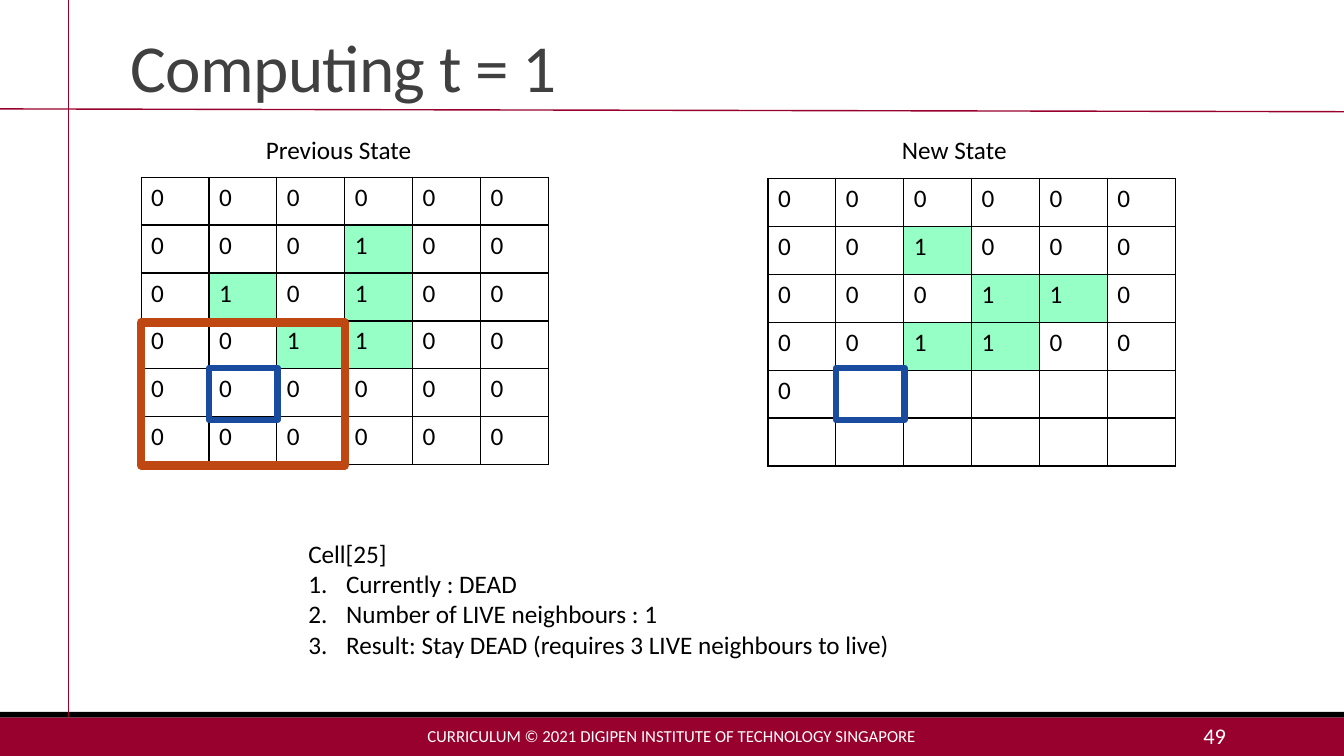
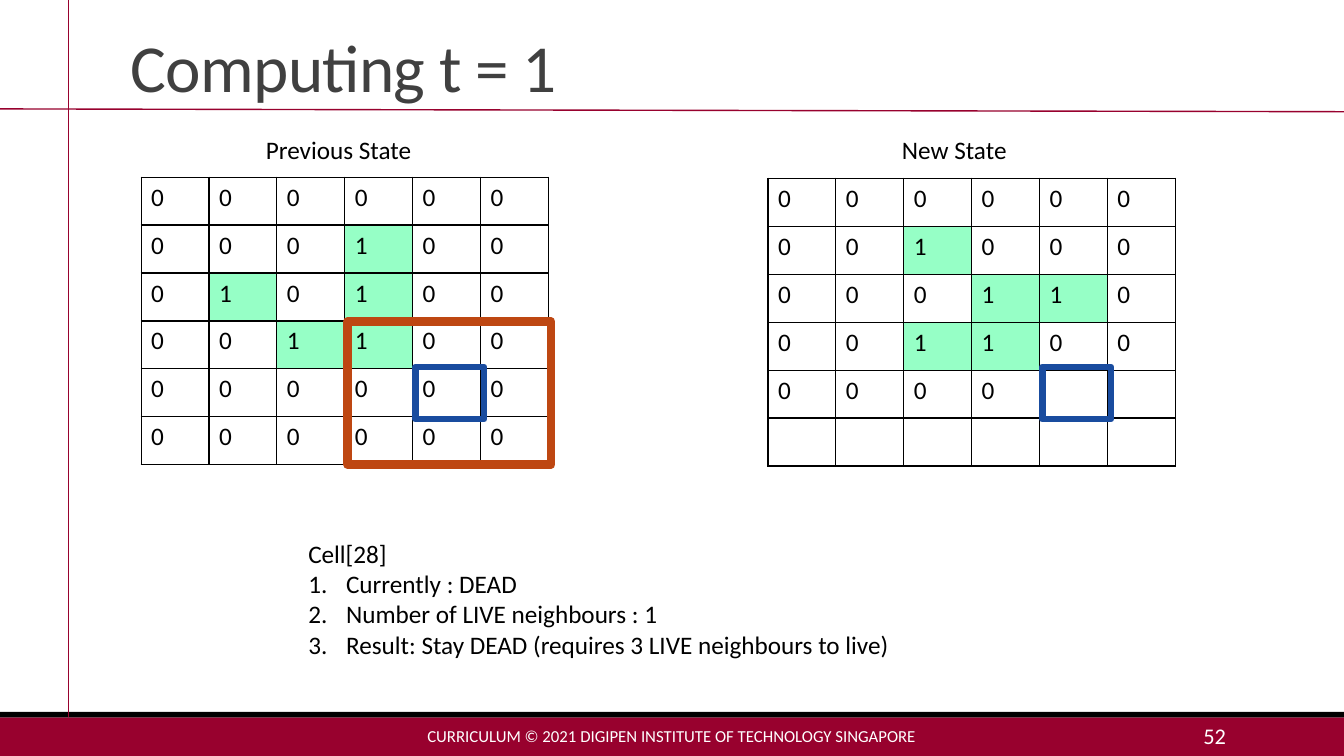
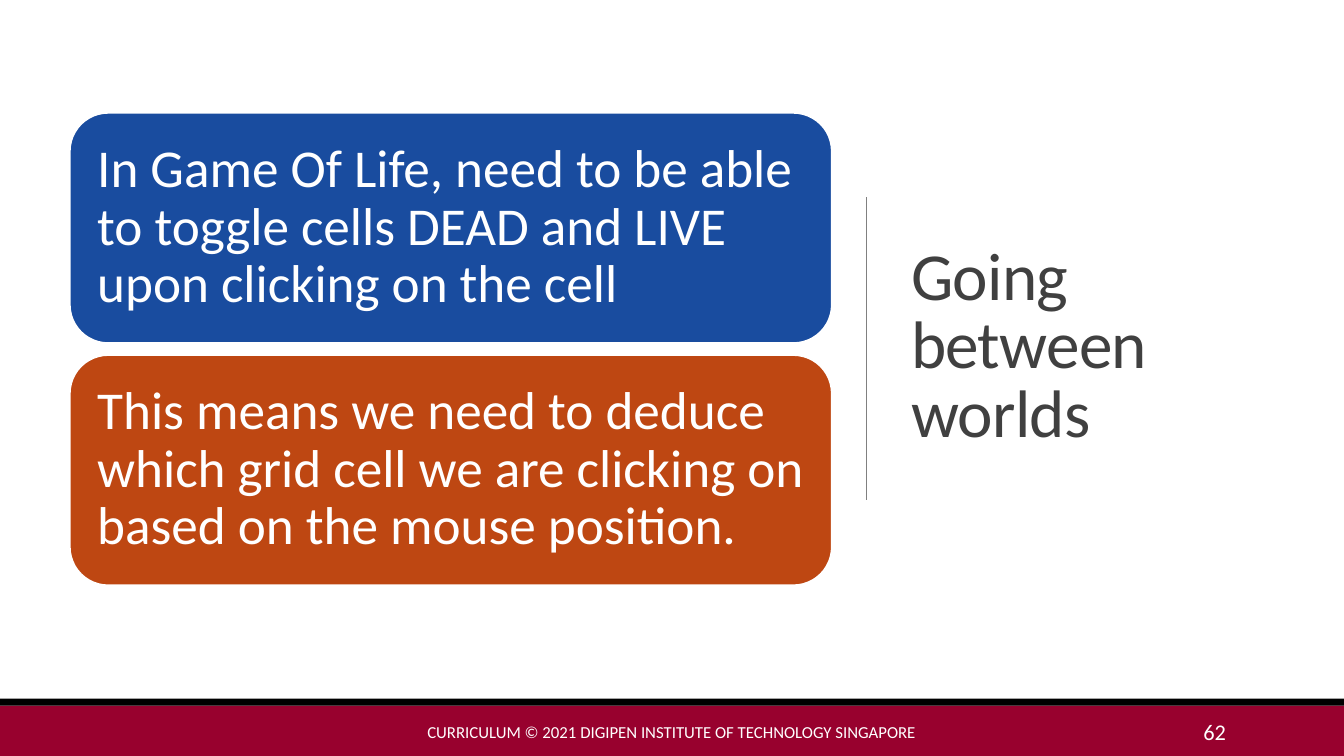
"""Build three slides on computing the Game Of Life grid."""
from dataclasses import dataclass

from lxml import etree
from pptx import Presentation
from pptx.dml.color import RGBColor
from pptx.enum.shapes import MSO_CONNECTOR, MSO_SHAPE
from pptx.enum.text import MSO_ANCHOR, PP_ALIGN
from pptx.oxml.ns import qn
from pptx.util import Pt

RECTANGLE = MSO_SHAPE.RECTANGLE
ROUNDED = MSO_SHAPE.ROUNDED_RECTANGLE
STRAIGHT = MSO_CONNECTOR.STRAIGHT
TOP, MIDDLE, BOTTOM = MSO_ANCHOR.TOP, MSO_ANCHOR.MIDDLE, MSO_ANCHOR.BOTTOM
LEFT, CENTER, RIGHT = PP_ALIGN.LEFT, PP_ALIGN.CENTER, PP_ALIGN.RIGHT


@dataclass(frozen=True)
class Theme:
    """Colours, font and type sizes of the deck."""
    font: str = "Calibri"
    crimson: str = "98012E"
    black: str = "000000"
    white: str = "FFFFFF"
    heading: str = "404040"
    rule: str = "808080"
    live: str = "96FFC6"
    blue: str = "194C9F"
    orange: str = "BE4712"
    title_size: int = 48
    card_size: int = 38
    body_size: int = 18
    number_size: int = 16
    footer_size: int = 12


THEME = Theme()
WIDTH, HEIGHT = 960, 540
GRID_SIZE, CELL_WIDTH, CELL_HEIGHT = 6, 48.5, 34.25
PREVIOUS_ORIGIN, NEW_ORIGIN = (100.8, 126.5), (548.6, 127.4)
PREVIOUS_STATE = "000000" "000100" "010100" "001100" "000000" "000000"
NEW_STATE = "000000" "001000" "000110" "001100" "000000" "000000"
FOOTER = "CURRICULUM © 2021 DIGIPEN INSTITUTE OF TECHNOLOGY SINGAPORE"
STEPS = (
    "Currently : DEAD",
    "Number of LIVE neighbours : 1",
    "Result: Stay DEAD (requires 3 LIVE neighbours to live)",
)
CARDS = (
    (THEME.blue, "In Game Of Life, need to be able to toggle cells DEAD and LIVE "
                 "upon clicking on the cell"),
    (THEME.orange, "This means we need to deduce which grid cell we are clicking on "
                   "based on the mouse position."),
)


def color(value):
    """Return the colour object for a hex value."""
    return RGBColor.from_string(value)


def points(*lengths):
    """Convert numbers to lengths in points."""
    return [Pt(length) for length in lengths]


def format_text(frame, size, ink, align=LEFT, spacing=None):
    """Format every run of a text frame."""
    for para in frame.paragraphs:
        para.alignment = align
        if spacing:
            para.line_spacing = spacing
        for span in para.runs:
            span.font.name = THEME.font
            span.font.size = Pt(size)
            span.font.color.rgb = color(ink)


def add_text(page, place, text, size, ink, anchor=TOP, align=LEFT, spacing=None):
    """Add a wrapping text box and return its frame."""
    frame = page.shapes.add_textbox(*points(*place)).text_frame
    frame.word_wrap = True
    frame.vertical_anchor = anchor
    frame.text = text
    format_text(frame, size, ink, align, spacing)
    return frame


def add_box(page, place, fill=None, line=None, weight=1, preset=RECTANGLE):
    """Add a preset shape with optional fill and outline."""
    box = page.shapes.add_shape(preset, *points(*place))
    box.shadow.inherit = False
    if fill:
        box.fill.solid()
        box.fill.fore_color.rgb = color(fill)
    else:
        box.fill.background()
    if line:
        box.line.color.rgb = color(line)
        box.line.width = Pt(weight)
    else:
        box.line.fill.background()
    return box


def add_line(page, ends, ink, weight):
    """Add a straight line between two points."""
    line = page.shapes.add_connector(STRAIGHT, *points(*ends))
    line.line.color.rgb = color(ink)
    line.line.width = Pt(weight)
    etree.SubElement(line._element.spPr, qn("a:effectLst"))


def add_title(page, place, text, anchor):
    """Add a slide title with tight letter spacing."""
    frame = add_text(page, place, text, THEME.title_size, THEME.heading, anchor, spacing=0.85)
    for span in frame.paragraphs[0].runs:
        span.font._element.set("spc", "-50")


def add_footer(page, number, stripe_top, band_top, text_top):
    """Add the bottom band, its stripe, the copyright line and the page number."""
    add_box(page, (0, band_top, WIDTH, HEIGHT - band_top), THEME.crimson)
    add_box(page, (0, stripe_top, WIDTH, band_top - stripe_top), THEME.black)
    add_text(page, (290.2, text_top, 379.4, 28.8), FOOTER, THEME.footer_size, THEME.white,
             MIDDLE, CENTER)
    add_text(page, (779.8, text_top, 103, 28.8), str(number), THEME.number_size, THEME.white,
             MIDDLE, RIGHT)


def set_borders(cell):
    """Give a table cell thin black borders."""
    properties = cell._tc.get_or_add_tcPr()
    for position, side in enumerate(("a:lnL", "a:lnR", "a:lnT", "a:lnB")):
        border = etree.Element(qn(side), w=str(Pt(1)))
        fill = etree.SubElement(border, qn("a:solidFill"))
        etree.SubElement(fill, qn("a:srgbClr"), val=THEME.black)
        properties.insert(position, border)


def add_grid(page, origin, state):
    """Add a cell grid as a table, leaving cells past the state empty."""
    size = (GRID_SIZE * CELL_WIDTH, GRID_SIZE * CELL_HEIGHT)
    table = page.shapes.add_table(GRID_SIZE, GRID_SIZE, *points(*origin, *size)).table
    table.first_row = table.horz_banding = False
    for column in table.columns:
        column.width = Pt(CELL_WIDTH)
    for row in table.rows:
        row.height = Pt(CELL_HEIGHT)
    for cell, value in zip(table.iter_cells(), state.ljust(GRID_SIZE ** 2)):
        cell.text = value.strip()
        format_text(cell.text_frame, THEME.body_size, THEME.black)
        cell.fill.solid()
        cell.fill.fore_color.rgb = color(THEME.live if value == "1" else THEME.white)
        set_borders(cell)


def add_steps(page, heading, steps):
    """Add a heading followed by numbered steps."""
    frame = add_text(page, (213.1, 380.9, 550.8, 94.3), "\n".join((heading, *steps)),
                     THEME.body_size, THEME.black)
    for para in frame.paragraphs[1:]:
        properties = para._p.get_or_add_pPr()
        properties.set("marL", str(Pt(27)))
        properties.set("indent", str(Pt(-27)))
        etree.SubElement(properties, qn("a:buFont"), typeface="+mj-lt")
        etree.SubElement(properties, qn("a:buAutoNum"), type="arabicPeriod")


def add_markers(page, index, shift_x, shift_y):
    """Outline the current cell in both grids and its neighbourhood."""
    row, column = divmod(index, GRID_SIZE)
    left = column * CELL_WIDTH + shift_x
    top = PREVIOUS_ORIGIN[1] + (row - 1) * CELL_HEIGHT + shift_y
    add_box(page, (PREVIOUS_ORIGIN[0] + left - CELL_WIDTH, top, 3 * CELL_WIDTH, 102.2),
            line=THEME.orange, weight=6)
    for origin_left, _ in (PREVIOUS_ORIGIN, NEW_ORIGIN):
        add_box(page, (origin_left + left, top + 32.4, 49, 37.4), line=THEME.blue, weight=4.5)


def add_computing_slide(deck, number, index, shift_x, shift_y):
    """Add a slide that computes one cell of the new state."""
    page = deck.slides.add_slide(deck.slide_layouts[6])
    add_footer(page, number, 508.5, 512.5, 511.2)
    add_line(page, (49, 0, 49, 512.5), THEME.crimson, 1)
    add_line(page, (0, 77.8, WIDTH, 79.8), THEME.crimson, 1)
    add_title(page, (86.4, 11.5, 792, 67.7), "Computing t = 1", BOTTOM)
    add_grid(page, PREVIOUS_ORIGIN, PREVIOUS_STATE)
    add_grid(page, NEW_ORIGIN, NEW_STATE[:index])
    for left, label in ((182.9, "Previous State"), (637.2, "New State")):
        add_text(page, (left, 92.2, 126.7, 28.8), label, THEME.body_size, THEME.black)
    add_steps(page, f"Cell[{index}]", STEPS)
    add_markers(page, index, shift_x, shift_y)


def add_card(page, place, fill, text):
    """Add a rounded card with large white text."""
    card = add_box(page, place, fill, THEME.white, 1.25, ROUNDED)
    frame = card.text_frame
    frame.word_wrap = True
    frame.vertical_anchor = MIDDLE
    frame.margin_left = frame.margin_right = Pt(11.5)
    frame.margin_top = frame.margin_bottom = Pt(11.5)
    frame.text = text
    format_text(frame, THEME.card_size, THEME.white, spacing=0.9)


def add_worlds_slide(deck, number):
    """Add the slide with two cards beside the title."""
    page = deck.slides.add_slide(deck.slide_layouts[6])
    add_footer(page, number, 499, 504, 508.3)
    add_title(page, (643.7, 49.7, 265.7, 398.2), "Going between worlds", MIDDLE)
    add_line(page, (618.5, 141, 618.5, 357), THEME.rule, 0.5)
    for position, (fill, text) in enumerate(CARDS):
        add_card(page, (49.9, 80.6 + position * 173, 544.3, 164.5), fill, text)


def main():
    """Build and save the deck."""
    deck = Presentation()
    deck.slide_width, deck.slide_height = points(WIDTH, HEIGHT)
    add_computing_slide(deck, 49, 25, 0, 1)
    add_computing_slide(deck, 52, 28, 2, 0.4)
    add_worlds_slide(deck, 62)
    deck.save("out.pptx")


if __name__ == "__main__":
    main()
